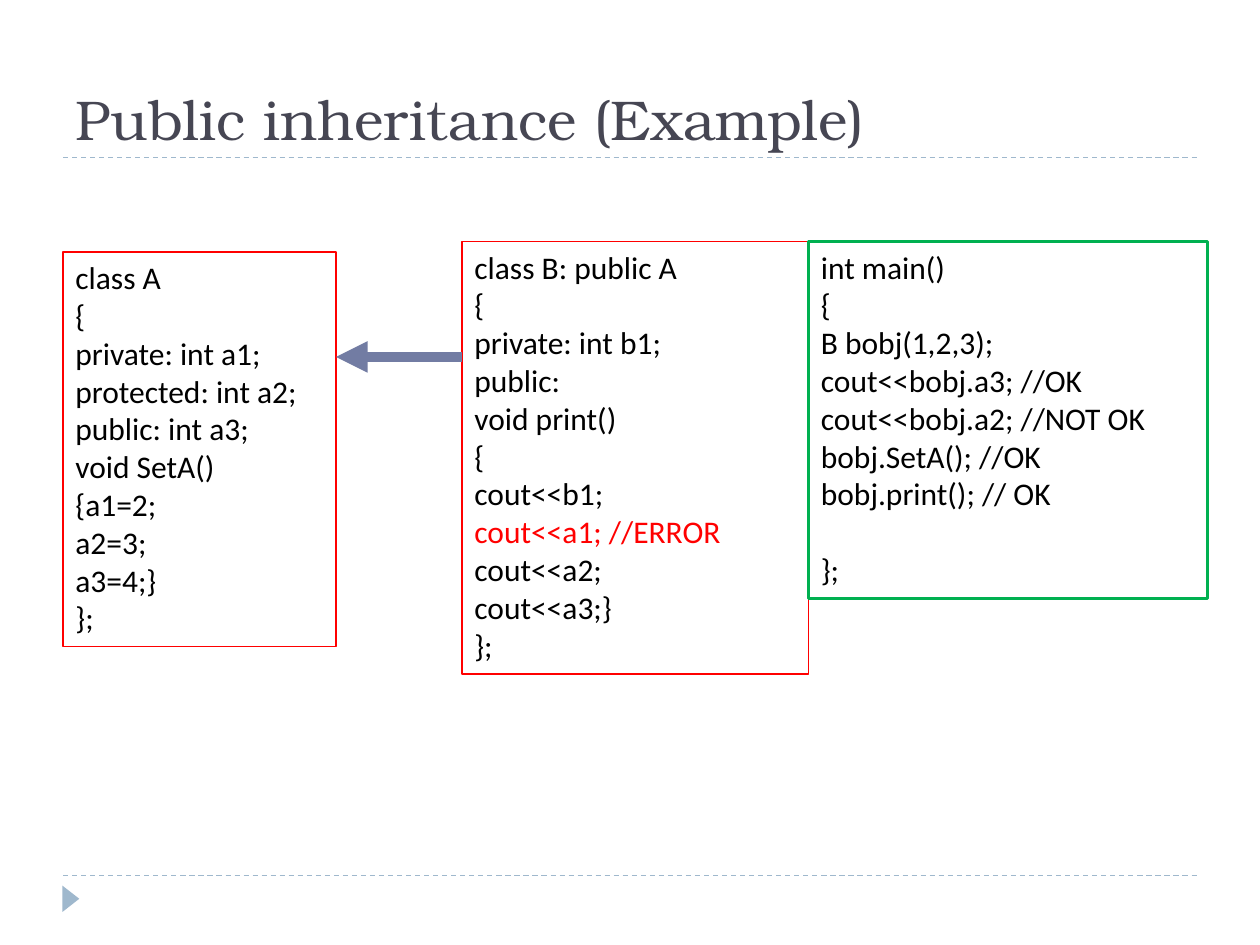
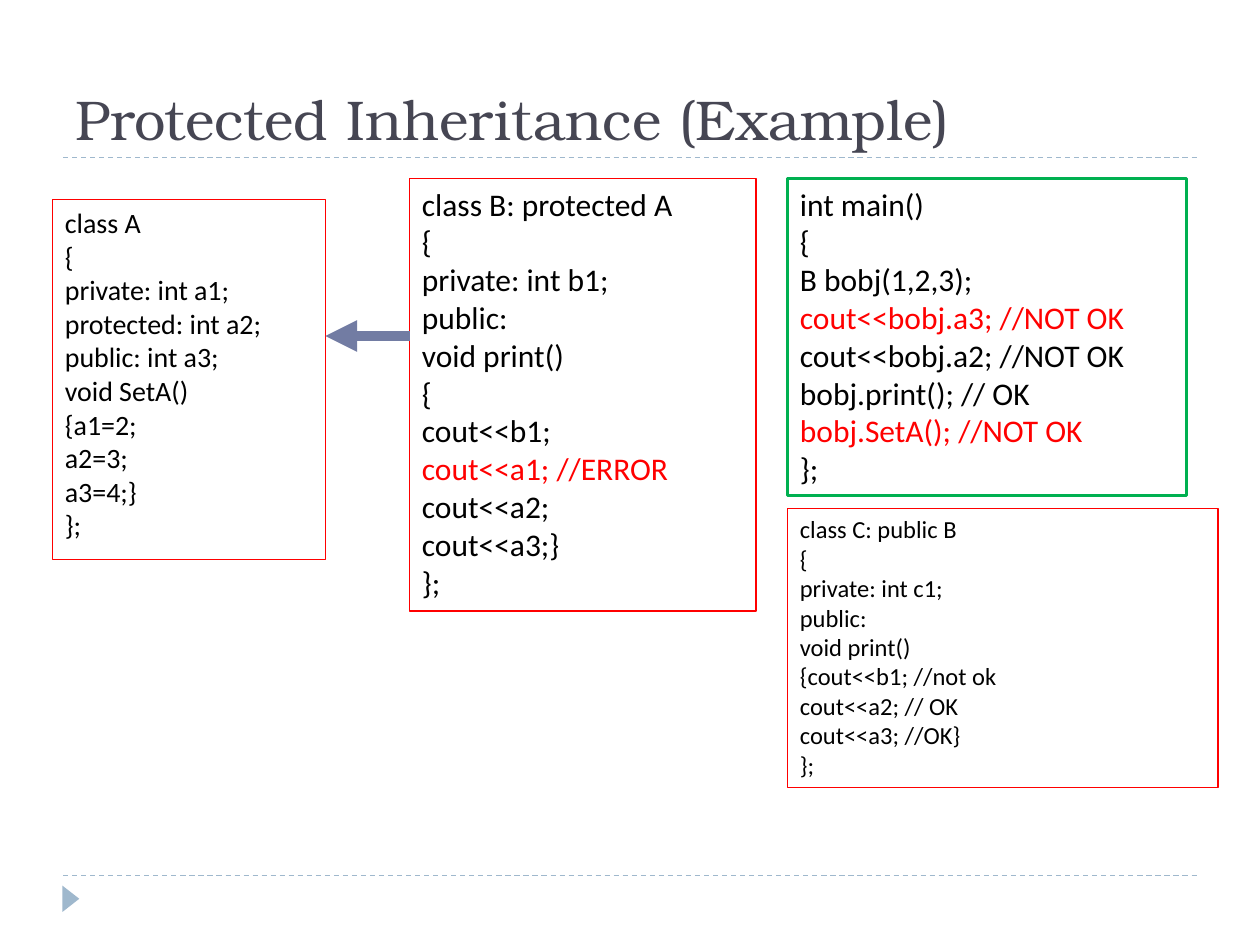
"""Build two slides that compare public and protected inheritance."""
from lxml.etree import SubElement
from pptx import Presentation
from pptx.dml.color import RGBColor
from pptx.enum.dml import MSO_LINE
from pptx.enum.shapes import MSO_CONNECTOR, MSO_SHAPE
from pptx.enum.text import MSO_ANCHOR, MSO_AUTO_SIZE, PP_ALIGN
from pptx.oxml.ns import qn
from pptx.util import Inches, Pt

COLORS = {"title": "464653", "rule": "9FB8CD", "arrow": "727CA3",
          "code": "000000", "error": "FF0000", "class": "FF0000",
          "main": "00B050"}
COLS, ROWS = 120, 90

BASE = """class A
{
private: int a1;
protected: int a2;
public: int a3;
void SetA()
{a1=2;
a2=3;
a3=4;}
};"""

CHILD = """class B: ACCESS A
{
private: int b1;
public:
void print()
{
cout<<b1;
cout<<a1; //ERROR
cout<<a2;
cout<<a3;}
};"""

PUBLIC = """int main()
{
B bobj(1,2,3);
cout<<bobj.a3; //OK
cout<<bobj.a2; //NOT OK
bobj.SetA(); //OK
bobj.print(); // OK

};"""

GUARD = """int main()
{
B bobj(1,2,3);
cout<<bobj.a3; //NOT OK
cout<<bobj.a2; //NOT OK
bobj.print(); // OK
bobj.SetA(); //NOT OK
};"""

GRAND = """class C: public B
{
private: int c1;
public:
void print()
{cout<<b1; //not ok
cout<<a2; // OK
cout<<a3; //OK}
};"""


def color(name):
    """Return a named colour."""
    return RGBColor.from_string(COLORS[name])


class Deck:
    """Hold the style, the grid and the current slide."""

    def __init__(self):
        """Start a deck of 10 by 7.5 inches."""
        self.file = Presentation()
        self.file.slide_width = Inches(10)
        self.file.slide_height = Inches(7.5)
        self.shapes = None

    def place(self, *cells):
        """Turn column and row pairs into lengths."""
        units = (self.file.slide_width / COLS, self.file.slide_height / ROWS)
        return [round(cell * units[i % 2]) for i, cell in enumerate(cells)]

    def font(self, para, face, size, name):
        """Set the font of a paragraph."""
        para.font.name = face
        para.font.size = Pt(size)
        para.font.color.rgb = color(name)

    def slide(self, title):
        """Add a slide with its rules, corner mark and title."""
        page = self.file.slides.add_slide(self.file.slide_layouts[6])
        self.shapes = page.shapes
        for row in (83.4, 15):
            self.line((6, row, 114, row), "rule", 0.75).line.dash_style = MSO_LINE.DASH
        mark = self.shapes.add_shape(MSO_SHAPE.ISOSCELES_TRIANGLE,
                                     *self.place(5.5, 84.8, 2.5, 1.6))
        mark.rotation = 90
        mark.shadow.inherit = False
        mark.fill.solid()
        mark.fill.fore_color.rgb = color("rule")
        mark.line.fill.background()
        frame = self.shapes.add_textbox(*self.place(6, 2, 108, 13)).text_frame
        frame.word_wrap = True
        frame.vertical_anchor = MSO_ANCHOR.BOTTOM
        frame.text = title
        self.font(frame.paragraphs[0], "TeX Gyre Bonum", 32, "title")

    def line(self, ends, name, width):
        """Add a straight line between two grid points."""
        line = self.shapes.add_connector(MSO_CONNECTOR.STRAIGHT, *self.place(*ends))
        line.line.color.rgb = color(name)
        line.line.width = Pt(width)
        SubElement(line._element.spPr, qn("a:effectLst"))
        return line

    def arrow(self, *ends):
        """Add a thick arrow that points at its second end."""
        line = self.line(ends, "arrow", 6)
        SubElement(line.line._get_or_add_ln(), qn("a:tailEnd"), type="triangle")

    def code(self, text, area, size=18, edge="class", width=0.75, errors=()):
        """Add a framed listing, with the lines in errors marked."""
        box = self.shapes.add_shape(MSO_SHAPE.RECTANGLE, *self.place(*area))
        box.shadow.inherit = False
        box.fill.background()
        box.line.color.rgb = color(edge)
        box.line.width = Pt(width)
        frame = box.text_frame
        frame.word_wrap = True
        frame.vertical_anchor = MSO_ANCHOR.TOP
        frame.auto_size = MSO_AUTO_SIZE.SHAPE_TO_FIT_TEXT
        lines = text.split("\n")
        frame.text = "\n".join(filter(None, lines))
        gaps = [not lines[i - 1] for i, row in enumerate(lines) if row]
        for i, (para, gap) in enumerate(zip(frame.paragraphs, gaps), 1):
            para.alignment = PP_ALIGN.LEFT
            if gap:
                para.space_before = Pt(size * 1.2)
            self.font(para, "Calibri", size, "error" if i in errors else "code")

    def child(self, access, col, row):
        """Add class B with its kind of inheritance."""
        self.code(CHILD.replace("ACCESS", access), (col, row, 33, 41.2), errors=(8,))

    def main(self, text, col, row, high, errors=()):
        """Add the main function in its green frame."""
        self.code(text, (col, row, 38, high), edge="main", width=1.5, errors=errors)


def build():
    """Build both slides and save them."""
    deck = Deck()
    deck.slide("Public inheritance (Example)")
    deck.code(BASE, (6, 24, 26, 37.6))
    deck.child("public", 44, 23)
    deck.arrow(44, 34, 32, 34)
    deck.main(PUBLIC, 77, 23, 34)

    deck.slide("Protected Inheritance (Example)")
    deck.code(BASE, (5, 19, 26, 34.3), size=16)
    deck.child("protected", 39, 17)
    deck.arrow(39, 32, 31, 32)
    deck.main(GUARD, 75, 17, 30.2, errors=(4, 7))
    deck.code(GRAND, (75, 48.4, 41, 26.6), size=14)
    deck.file.save("out.pptx")


if __name__ == "__main__":
    build()
